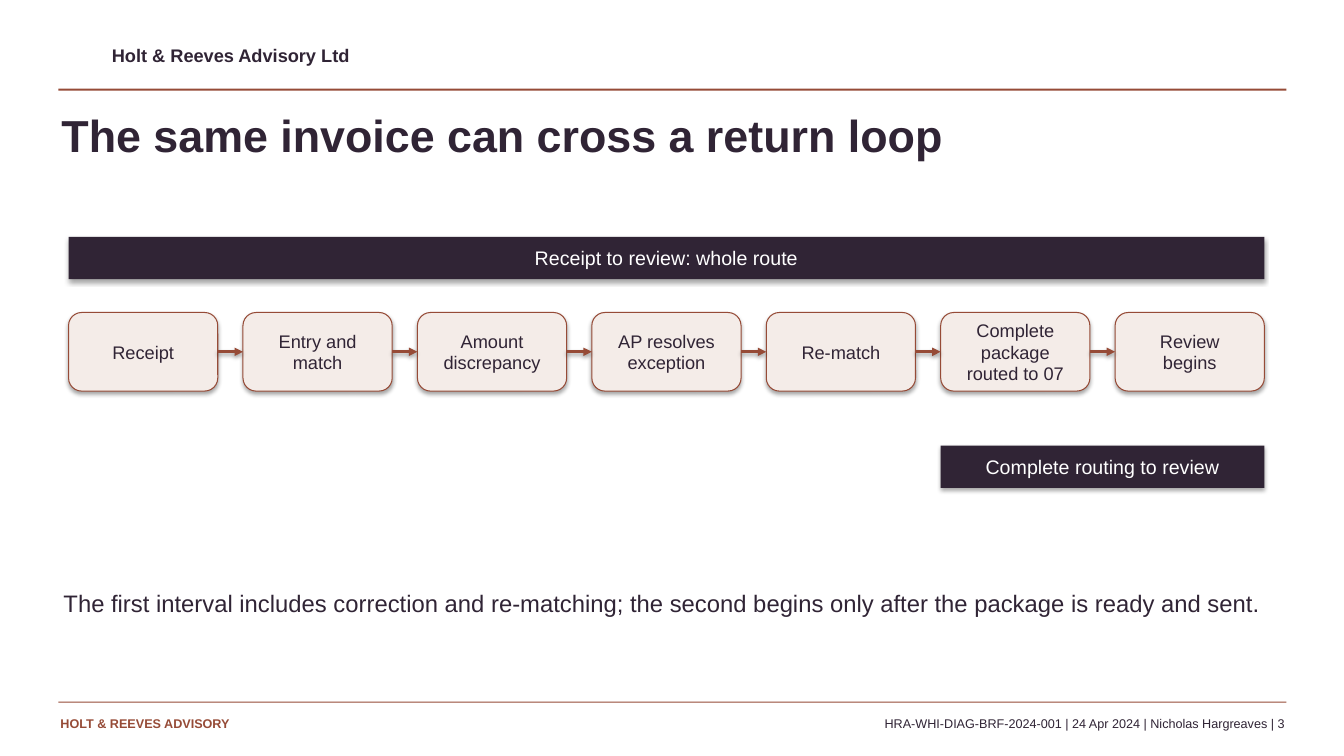
from itertools import pairwise

from lxml.etree import SubElement
from pptx import Presentation
from pptx.dml.color import RGBColor
from pptx.enum.shapes import MSO_CONNECTOR as Connector, MSO_SHAPE as Shape
from pptx.enum.text import MSO_ANCHOR as Anchor, PP_ALIGN as Align
from pptx.oxml.ns import qn
from pptx.util import Pt

PX = 9144
DARK, RUST, BLUSH, WHITE = "302435", "964B37", "F4ECE8", "FFFFFF"
STEPS = ["Receipt", "Entry and\nmatch", "Amount\ndiscrepancy", "AP resolves\nexception",
         "Re-match", "Complete package\nrouted to 07", "Review\nbegins"]
STEP_WIDTH, STEP_GAP = 148, 25
ROUTING_START = 5


def color(value):
    return RGBColor.from_string(value)


def scaled(*lengths):
    return [length * PX for length in lengths]


def write(shape, text, size=13, ink=DARK, bold=False, align=Align.LEFT,
          anchor=Anchor.TOP, insets=(0, 0)):
    frame = shape.text_frame
    frame.word_wrap = True
    frame.vertical_anchor = anchor
    frame.margin_left = frame.margin_right = insets[0] * PX
    frame.margin_top = frame.margin_bottom = insets[1] * PX
    for index, line in enumerate(text.split("\n")):
        paragraph = frame.add_paragraph() if index else frame.paragraphs[0]
        paragraph.alignment = align
        run = paragraph.add_run()
        run.text = line
        run.font.name = "Arial"
        run.font.size = Pt(size)
        run.font.bold = bold
        run.font.color.rgb = color(ink)


def add_text(slide, box, text, **style):
    write(slide.shapes.add_textbox(*scaled(*box)), text, **style)


def add_block(slide, kind, box, fill, outline=None):
    shape = slide.shapes.add_shape(kind, *scaled(*box))
    shape.shadow.inherit = False
    shape.fill.solid()
    shape.fill.fore_color.rgb = color(fill)
    if outline:
        shape.line.color.rgb = color(outline)
        shape.line.width = Pt(0.75)
    else:
        shape.line.fill.background()
    return shape


def add_shadow(shape, opacity, distance):
    properties = shape.element.spPr
    effects = properties.find(qn("a:effectLst"))
    if effects is None:
        effects = SubElement(properties, qn("a:effectLst"))
    shadow = SubElement(effects, qn("a:outerShdw"), blurRad="40000", dist=str(distance),
                        dir="5400000", rotWithShape="0")
    black = SubElement(shadow, qn("a:srgbClr"), val="000000")
    SubElement(black, qn("a:alpha"), val=str(opacity * 1000))


def add_header(slide, box):
    left, top, width, height = box
    add_text(slide, (left + 53, top + 2, 600, 27), "Holt & Reeves Advisory Ltd", bold=True)
    add_block(slide, Shape.RECTANGLE, (left, top + height - 2, width, 2), RUST)


def add_footer(slide, box):
    left, top, width, height = box
    add_block(slide, Shape.RECTANGLE, (left, top, width, 1), RUST)
    add_text(slide, (left + 2, top + 14, 340, height - 14), "HOLT & REEVES ADVISORY",
             size=9, ink=RUST, bold=True)
    add_text(slide, (left + width - 864, top + 14, 862, 20),
             "HRA-WHI-DIAG-BRF-2024-001 | 24 Apr 2024 | Nicholas Hargreaves | 3",
             size=9, align=Align.RIGHT)


def add_step(slide, box, text):
    step = add_block(slide, Shape.ROUNDED_RECTANGLE, box, BLUSH, RUST)
    add_shadow(step, 35, 23000)
    write(step, text, align=Align.CENTER, anchor=Anchor.MIDDLE, insets=(10, 1))
    return step


def add_arrow(slide, source, target):
    arrow = slide.shapes.add_connector(Connector.STRAIGHT, 0, 0, 0, 0)
    arrow.begin_connect(source, 3)
    arrow.end_connect(target, 1)
    arrow.line.color.rgb = color(RUST)
    arrow.line.width = Pt(2)
    SubElement(arrow.element.spPr.find(qn("a:ln")), qn("a:tailEnd"), type="triangle")
    add_shadow(arrow, 38, 20000)


def add_interval(slide, box, text):
    bar = add_block(slide, Shape.RECTANGLE, box, DARK)
    add_shadow(bar, 35, 23000)
    write(bar, text, size=14, ink=WHITE, align=Align.CENTER,
          anchor=Anchor.MIDDLE, insets=(10, 5))


def add_route(slide, box):
    left, top, width, height = box
    pitch = STEP_WIDTH + STEP_GAP
    steps = [add_step(slide, (left + index * pitch, top + 75, STEP_WIDTH, 78), text)
             for index, text in enumerate(STEPS)]
    for source, target in pairwise(steps):
        add_arrow(slide, source, target)
    add_interval(slide, (left, top, width, 42), "Receipt to review: whole route")
    offset = ROUTING_START * pitch
    add_interval(slide, (left + offset, top + height - 42, width - offset, 42),
                 "Complete routing to review")


def main():
    presentation = Presentation()
    presentation.slide_width, presentation.slide_height = scaled(1333, 750)
    slide = presentation.slides.add_slide(presentation.slide_layouts[6])
    add_header(slide, (58, 42, 1218, 48))
    add_text(slide, (61, 107, 1200, 78), "The same invoice can cross a return loop",
             size=32, bold=True)
    add_route(slide, (68, 235, 1186, 249))
    add_text(slide, (63, 584, 1194, 80),
             "The first interval includes correction and re-matching; the second begins "
             "only after the package is ready and sent.", size=17)
    add_footer(slide, (58, 696, 1218, 39))
    presentation.save("out.pptx")


if __name__ == "__main__":
    main()
